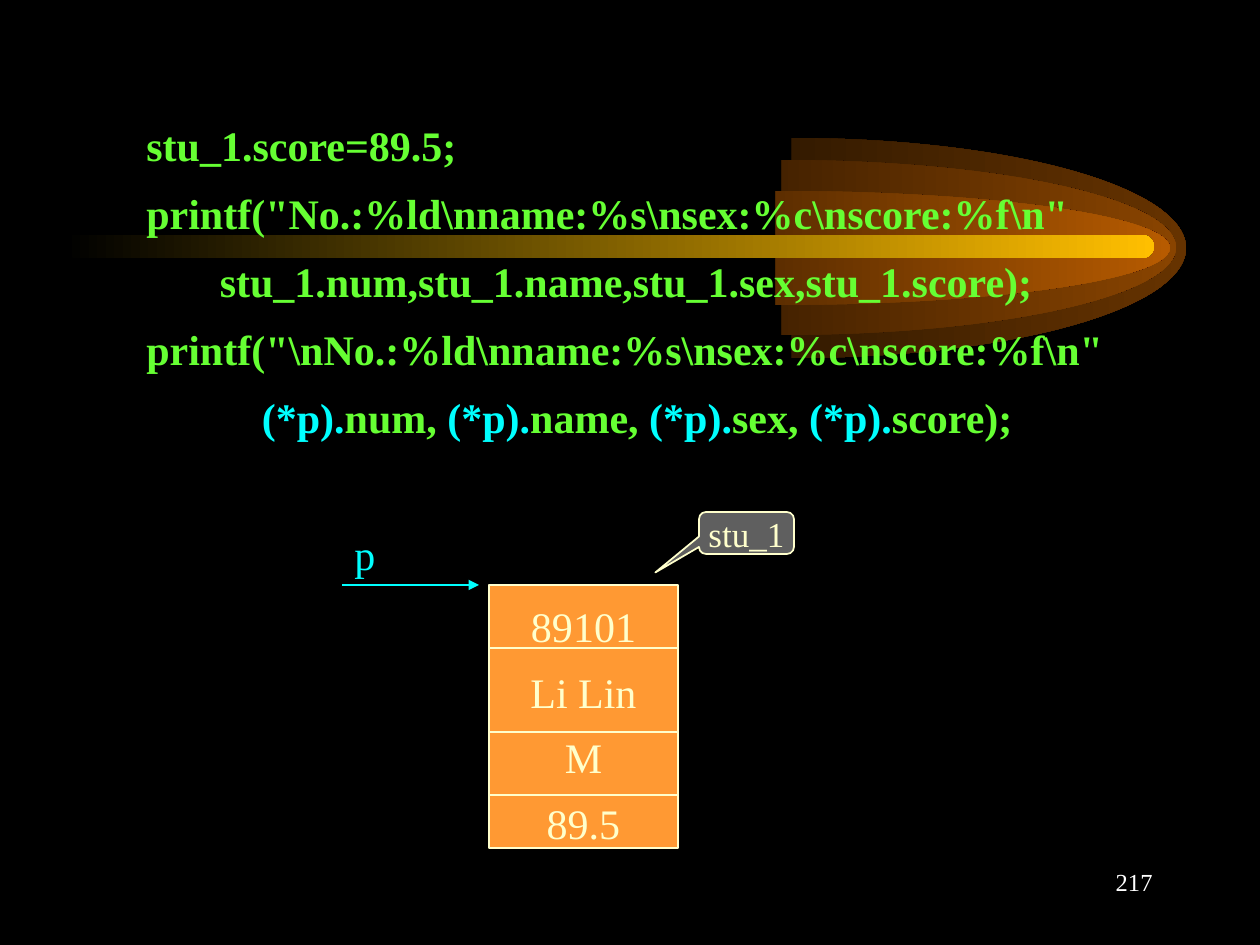
from lxml.etree import SubElement
from pptx import Presentation
from pptx.dml.color import RGBColor
from pptx.enum.shapes import MSO_CONNECTOR, MSO_SHAPE
from pptx.enum.text import MSO_ANCHOR, PP_ALIGN
from pptx.oxml.ns import qn
from pptx.util import Pt

EMU_PER_PIXEL = 914400 / 126
FONT = "Times New Roman"
GREEN, CYAN, CREAM = "66FF33", "00FFFF", "FFFFCC"


def px(value):
    return round(value * EMU_PER_PIXEL)


def color(hex_string):
    return RGBColor.from_string(hex_string)


def add_glow(slide, kind, left, top, width, height, right_color, adjustments):
    """Shape that fades from black on the left to a colour on the right."""
    shape = slide.shapes.add_shape(kind, px(left), px(top), px(width), px(height))
    for index, value in enumerate(adjustments):
        shape.adjustments[index] = value
    shape.shadow.inherit = False
    shape.line.fill.background()
    shape.fill.gradient()
    shape.fill.gradient_angle = 0
    for stop, stop_color in zip(shape.fill.gradient_stops, ("000000", right_color)):
        stop.color.rgb = color(stop_color)


def write_text(shape, lines, size, default_color, bold=False,
               align=PP_ALIGN.LEFT, spacing=1.0, wrap=True):
    """Each line is a list of (text, color) runs, or a plain string."""
    frame = shape.text_frame
    frame.word_wrap = wrap
    for index, line in enumerate(lines):
        paragraph = frame.paragraphs[0] if index == 0 else frame.add_paragraph()
        paragraph.alignment = align
        paragraph.line_spacing = spacing
        paragraph.font.name = FONT
        paragraph.font.size = Pt(size)
        paragraph.font.bold = bold
        runs = [(line, default_color)] if isinstance(line, str) else line
        for text, run_color in runs:
            run = paragraph.add_run()
            run.text = text
            run.font.color.rgb = color(run_color)


def add_text(slide, left, top, width, height, lines, size, text_color, **options):
    box = slide.shapes.add_textbox(px(left), px(top), px(width), px(height))
    write_text(box, lines, size, text_color, **options)


def add_box(slide, kind, left, top, width, height, fill, lines, size, spacing=1.0):
    shape = slide.shapes.add_shape(kind, px(left), px(top), px(width), px(height))
    shape.shadow.inherit = False
    shape.fill.solid()
    shape.fill.fore_color.rgb = color(fill)
    shape.line.color.rgb = color(CREAM)
    shape.line.width = Pt(1)
    shape.text_frame.vertical_anchor = MSO_ANCHOR.MIDDLE
    write_text(shape, lines, size, CREAM, align=PP_ALIGN.CENTER,
               spacing=spacing, wrap=False)
    return shape


def add_horizontal_line(slide, left, right, y, line_color, arrow=False):
    connector = slide.shapes.add_connector(
        MSO_CONNECTOR.STRAIGHT, px(left), px(y), px(right), px(y))
    connector.line.color.rgb = color(line_color)
    connector.line.width = Pt(1)
    if arrow:
        SubElement(connector.line._get_or_add_ln(), qn("a:tailEnd"), type="triangle")
    SubElement(connector._element.spPr, qn("a:effectLst"))


def add_comet(slide):
    # Arc angles in units of 100000/60000 degree: from top round to bottom
    half_turn = (162, 54)
    shells = [(398, 138, 220, "663300"),
              (388, 160, 175, "894400"),
              (382, 191, 114, "B75B00")]
    for left, top, height, shell_color in shells:
        add_glow(slide, MSO_SHAPE.ARC, left, top, 788, height, shell_color, half_turn)
    add_glow(slide, MSO_SHAPE.ROUNDED_RECTANGLE, 63, 235, 1091, 23, "FFBF00", (0.5,))


def add_code(slide):
    members = ["num, ", "name, ", "sex, ", "score);"]
    pointer_line = [("           ", GREEN)]
    for member in members:
        pointer_line += [("(*p).", CYAN), (member, GREEN)]
    lines = ['stu_1.score=89.5;',
             r'printf("No.:%ld\nname:%s\nsex:%c\nscore:%f\n"',
             '       stu_1.num,stu_1.name,stu_1.sex,stu_1.score);',
             r'printf("\nNo.:%ld\nname:%s\nsex:%c\nscore:%f\n"',
             pointer_line]
    add_text(slide, 134, 96, 1042, 353, lines, 24, GREEN, bold=True, spacing=1.35)


def add_memory_diagram(slide):
    left, top, width = 489, 585, 189
    add_box(slide, MSO_SHAPE.RECTANGLE, left, top, width, 263, "FF9933",
            ["89101", "Li Lin", "M", "89.5"], 24, spacing=1.3)
    for y in (648, 732, 795):
        add_horizontal_line(slide, left, left + width, y, CREAM)

    # Pointer and struct name
    add_horizontal_line(slide, 342, 479, top, CYAN, arrow=True)
    add_text(slide, 342, 522, 63, 63, ["p"], 24, CYAN)
    callout = add_box(slide, MSO_SHAPE.ROUNDED_RECTANGULAR_CALLOUT,
                      699, 512, 95, 42, "5F5F5F", ["stu_1"], 20)
    for index, value in enumerate((-0.96, 0.94, 0.17)):
        callout.adjustments[index] = value


def main():
    presentation = Presentation()
    presentation.slide_width, presentation.slide_height = px(1260), px(945)
    slide = presentation.slides.add_slide(presentation.slide_layouts[6])
    slide.background.fill.solid()
    slide.background.fill.fore_color.rgb = color("000000")

    add_comet(slide)
    add_code(slide)
    add_memory_diagram(slide)

    # Slide number
    add_text(slide, 903, 861, 262, 63, ["217"], 14, "FFFFFF", align=PP_ALIGN.RIGHT)
    presentation.save("out.pptx")


if __name__ == "__main__":
    main()
